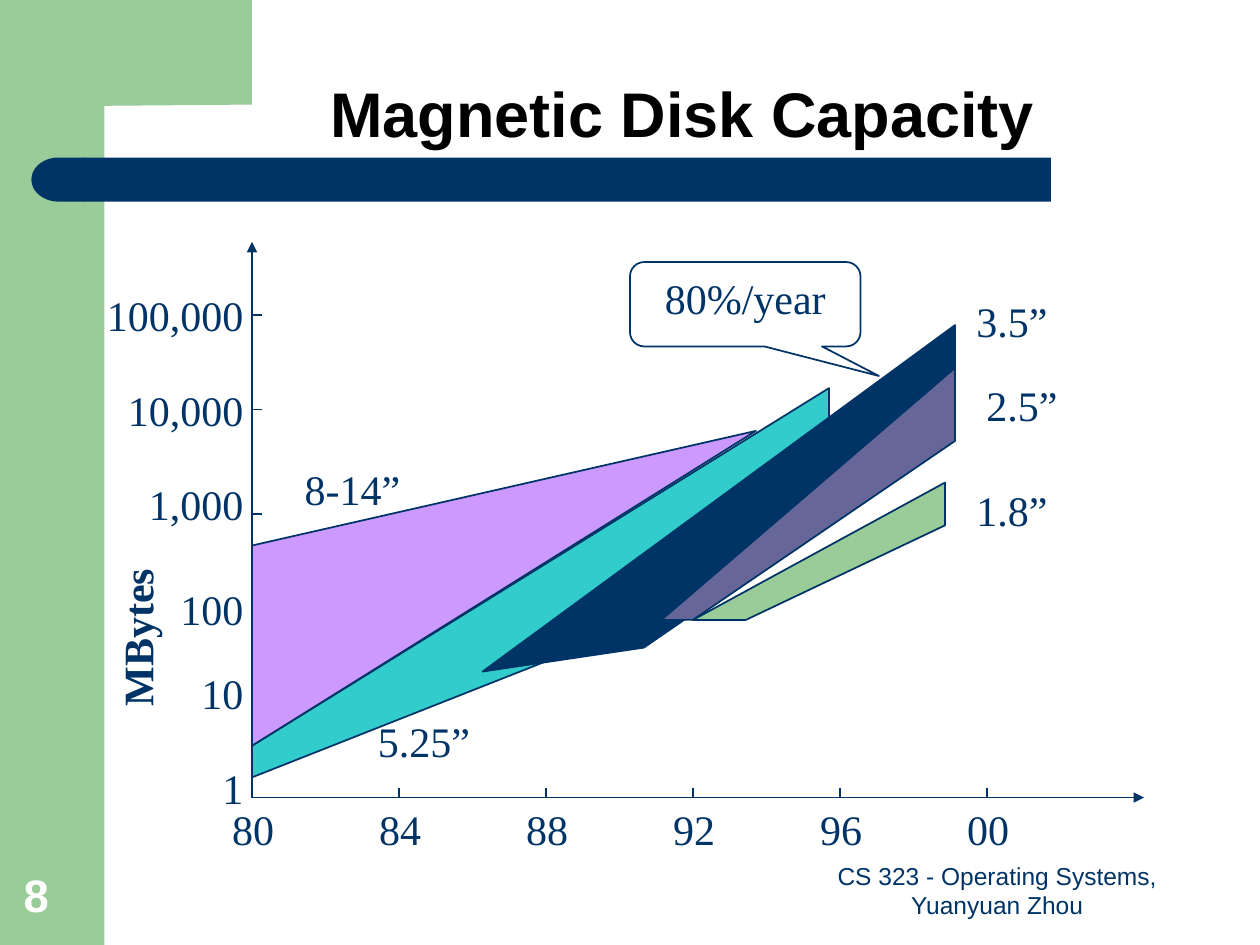
"""Build the Magnetic Disk Capacity slide with python-pptx."""
from lxml.etree import SubElement
from pptx import Presentation
from pptx.dml.color import RGBColor
from pptx.enum.shapes import MSO_CONNECTOR, MSO_SHAPE
from pptx.enum.text import MSO_ANCHOR, PP_ALIGN
from pptx.oxml.ns import qn
from pptx.util import Inches, Pt

COLORS = {"navy": "003366", "green": "99CC99", "violet": "CC99FF", "teal": "33CCCC",
          "slate": "666699", "white": "FFFFFF", "black": "000000"}
LABEL = {"name": "Times New Roman", "size": Pt(24), "bold": False}
AXIS_TITLE = {**LABEL, "bold": True}
TITLE = {"name": "Arial", "size": Pt(36), "bold": True}
FOOTER = {"name": "Arial", "size": Pt(14), "bold": False}
NUMBER = {"name": "Arial", "size": Pt(26), "bold": True}

ORIGIN_X, ORIGIN_Y = 2, 6.33
AXIS_RIGHT, AXIS_TOP = 9.08, 1.92
YEAR_STEP, TICK = 7 / 6, 0.08
YEARS = ["80", "84", "88", "92", "96", "00"]
CAPACITIES = [("1", 6, None), ("10", 5.25, 5.58), ("100", 4.58, 4.83),
              ("1,000", 3.75, 4.08), ("10,000", 3, 3.25), ("100,000", 2.25, 2.5)]
CORNER = [(0.5, 0), (2, 0), (2, 0.83), (0.83, 0.84), (0.77, 0.85), (0.71, 0.92),
          (0.68, 1.04), (0.67, 1.16), (0.67, 1.28), (0.5, 1.28)]
BANDS = [
    ("violet", [(2, 5.92), (2, 4.33), (6, 3.42)]),
    ("teal", [(2, 6.17), (2, 5.92), (6.58, 3.08), (6.58, 3.83), (4.33, 5.25)]),
    ("navy", [(3.83, 5.33), (7.58, 2.58), (7.58, 3.44), (5.11, 5.14)]),
    ("slate", [(5.25, 4.92), (7.58, 2.92), (7.58, 3.5), (5.5, 4.92)]),
    ("green", [(5.5, 4.92), (7.5, 3.83), (7.5, 4.17), (5.92, 4.92)]),
]
DISK_SIZES = [("1.8”", 7.65, 3.8), ("2.5”", 7.73, 2.96), ("3.5”", 7.65, 2.3),
              ("5.25”", 2.9, 5.63), ("8-14”", 2.32, 3.63)]


def rgb(color):
    return RGBColor.from_string(COLORS[color])


def paint(shape, fill, line=None):
    shape.shadow.inherit = False
    shape.fill.solid()
    shape.fill.fore_color.rgb = rgb(fill)
    if line:
        shape.line.color.rgb = rgb(line)
        shape.line.width = Pt(1)
    else:
        shape.line.fill.background()


def add_block(page, kind, place, fill, line=None):
    shape = page.shapes.add_shape(kind, *map(Inches, place))
    paint(shape, fill, line)
    return shape


def add_outline(page, points, fill, line=None):
    corners = [(Inches(x), Inches(y)) for x, y in points]
    builder = page.shapes.build_freeform(*corners[0])
    builder.add_line_segments(corners[1:], close=True)
    paint(builder.convert_to_shape(), fill, line)


def add_line(page, start, end, arrow=False):
    line = page.shapes.add_connector(MSO_CONNECTOR.STRAIGHT, *map(Inches, start + end))
    line.line.color.rgb = rgb("navy")
    line.line.width = Pt(1)
    if arrow:
        SubElement(line.line._get_or_add_ln(), qn("a:tailEnd"), type="triangle")
    SubElement(line._element.spPr, qn("a:effectLst"))


def write(box, text, style, color="navy", align=PP_ALIGN.LEFT, anchor=MSO_ANCHOR.TOP):
    frame = box.text_frame
    frame.word_wrap = True
    frame.vertical_anchor = anchor
    para = frame.paragraphs[0]
    para.alignment = align
    span = para.add_run()
    span.text = text
    span.font.color.rgb = rgb(color)
    for key, value in style.items():
        setattr(span.font, key, value)
    return para


def add_text(page, place, *words, **options):
    box = page.shapes.add_textbox(*map(Inches, place))
    return box, write(box, *words, **options)


def draw_frame(page):
    add_block(page, MSO_SHAPE.RECTANGLE, (0, 0, 0.83, 7.5), "green")
    add_outline(page, CORNER, "green")
    add_block(page, MSO_SHAPE.RECTANGLE, (0.67, 1.25, 7.67, 0.35), "navy")
    cap = add_block(page, MSO_SHAPE.FLOWCHART_DELAY, (0.25, 1.25, 0.43, 0.35), "navy")
    cap._element.spPr.xfrm.set("flipH", "1")
    bottom = {"anchor": MSO_ANCHOR.BOTTOM}
    title = add_text(page, (1.08, 0, 8.67, 1.25), "Magnetic Disk Capacity", TITLE,
                     "black", PP_ALIGN.CENTER, **bottom)[1]
    title.line_spacing = 0.9
    add_text(page, (6.33, 6.83, 3.17, 0.52), "CS 323 - Operating Systems, Yuanyuan Zhou",
             FOOTER, align=PP_ALIGN.CENTER, **bottom)
    add_text(page, (0.09, 6.83, 0.64, 0.53), "8", NUMBER, "white", **bottom)


def draw_axes(page):
    origin = (ORIGIN_X, ORIGIN_Y)
    add_line(page, origin, (AXIS_RIGHT, ORIGIN_Y), arrow=True)
    add_line(page, origin, (ORIGIN_X, AXIS_TOP), arrow=True)
    for text, top, tick in CAPACITIES:
        add_text(page, (ORIGIN_X - 1.47, top, 1.5, 0.5), text, LABEL, align=PP_ALIGN.RIGHT)
        if tick:
            add_line(page, (ORIGIN_X, tick), (ORIGIN_X + TICK, tick))
    for index, year in enumerate(YEARS):
        x = ORIGIN_X + index * YEAR_STEP
        add_text(page, (x - 0.39, ORIGIN_Y, 0.8, 0.5), year, LABEL, align=PP_ALIGN.CENTER)
        if index:
            add_line(page, (x, ORIGIN_Y - TICK), (x, ORIGIN_Y))
    unit, _ = add_text(page, (0.34, 4.81, 1.49, 0.5), "MBytes", AXIS_TITLE,
                       align=PP_ALIGN.CENTER)
    unit.rotation = 270


def draw_bands(page):
    for fill, points in BANDS:
        add_outline(page, points, fill, "navy")
    for text, left, top in DISK_SIZES:
        add_text(page, (left, top, 1.1, 0.5), text, LABEL)
    callout = add_block(page, MSO_SHAPE.ROUNDED_RECTANGULAR_CALLOUT,
                        (5, 2.08, 1.83, 0.67), "white", "navy")
    for index, value in enumerate((0.58, 0.85, 0.17)):
        callout.adjustments[index] = value
    write(callout, "80%/year", LABEL, align=PP_ALIGN.CENTER)


def main():
    deck = Presentation()
    deck.slide_width, deck.slide_height = Inches(10), Inches(7.5)
    page = deck.slides.add_slide(deck.slide_layouts[6])
    draw_frame(page)
    draw_axes(page)
    draw_bands(page)
    deck.save("out.pptx")


if __name__ == "__main__":
    main()
